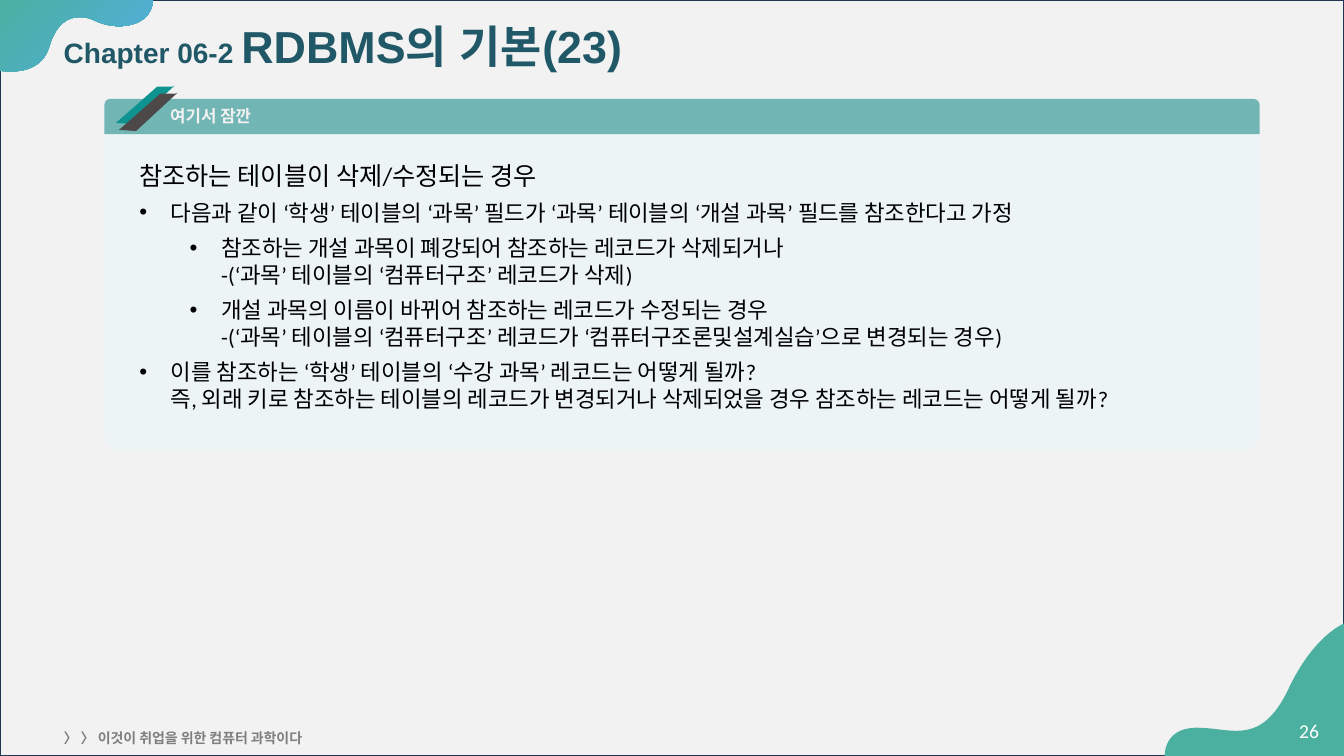
from lxml import etree
from pptx import Presentation
from pptx.dml.color import RGBColor
from pptx.enum.lang import MSO_LANGUAGE_ID
from pptx.enum.shapes import MSO_SHAPE
from pptx.enum.text import MSO_ANCHOR
from pptx.oxml.ns import qn
from pptx.util import Pt

RECTANGLE = MSO_SHAPE.RECTANGLE
TOP_ROUNDED = MSO_SHAPE.ROUND_2_SAME_RECTANGLE
TOP, MIDDLE = MSO_ANCHOR.TOP, MSO_ANCHOR.MIDDLE
KOREAN = MSO_LANGUAGE_ID.KOREAN

COLORS = {
    "paper": "F2F2F2", "frame": "21364F", "green": "4BB0A0", "blue": "52AEE1",
    "title": "205867", "footer": "7F7F7F", "white": "FFFFFF", "text": "000000",
    "panel": "ECF4F5", "header": "71B5B5", "teal": "0F9391", "charcoal": "4C4948",
}

# A pair is a straight segment, six numbers are a cubic curve.
TOP_WAVE = [
    (109.4, -1.4), (-0.7, -1.4), (-0.7, 50.4),
    (-0.7, 50.4, 2.9, 51.1, 7.9, 51.1), (17.3, 51.1, 31, 48.2, 35.3, 33.1),
    (40.3, 16.6, 49, 12.2, 56.9, 12.2), (60.5, 12.2, 64.1, 13, 67, 14.4),
    (72.7, 17.3, 79.2, 18.7, 85, 18.7), (98.6, 18.7, 109.4, 12.2, 109.4, -1.4),
]
BOTTOM_WAVE = [
    (960.8, 445), (960.8, 445, 938.5, 452.9, 919.8, 493.2),
    (908.3, 517, 896, 522, 883, 522), (874.3, 522, 865, 519.8, 854.9, 519.8),
    (830.5, 519.8, 831.9, 540.5, 831.9, 540.5), (960.8, 540.5), (960.8, 445),
]
RIBBON = [(124.6, 61.2), (95, 88.6), (82.8, 87.8), (112.3, 61.9), (123.1, 61.9)]

LESSON = [
    (None, ["참조하는 테이블이 삭제/수정되는 경우"]),
    (0, ["다음과 같이 ‘학생’ 테이블의 ‘과목’ 필드가 ‘과목’ 테이블의 ‘개설 과목’ 필드를 참조한다고 가정"]),
    (1, ["참조하는 개설 과목이 폐강되어 참조하는 레코드가 삭제되거나",
         "-(‘과목’ 테이블의 ‘컴퓨터구조’ 레코드가 삭제)"]),
    (1, ["개설 과목의 이름이 바뀌어 참조하는 레코드가 수정되는 경우",
         "-(‘과목’ 테이블의 ‘컴퓨터구조’ 레코드가 ‘컴퓨터구조론및설계실습’으로 변경되는 경우)"]),
    (0, ["이를 참조하는 ‘학생’ 테이블의 ‘수강 과목’ 레코드는 어떻게 될까?",
         "즉, 외래 키로 참조하는 테이블의 레코드가 변경되거나 삭제되었을 경우 참조하는 레코드는 어떻게 될까?"]),
]


def rgb(name):
    return RGBColor.from_string(COLORS[name])


class SlideBuilder:
    body_font = "Calibri"
    title_font = "Arial"

    def __init__(self, page):
        self.page = page

    def paint(self, shape, fill, line=None):
        shape.shadow.inherit = False
        shape.fill.solid()
        shape.fill.fore_color.rgb = rgb(fill)
        if line:
            shape.line.color.rgb = rgb(line)
            shape.line.width = Pt(1)
        else:
            shape.line.fill.background()

    def block(self, kind, frame, fill, line=None, corners=()):
        shape = self.page.shapes.add_shape(kind, *map(Pt, frame))
        for index, corner in enumerate(corners):
            shape.adjustments[index] = corner
        self.paint(shape, fill, line)

    def outline(self, segments, fill, dx=0, dy=0):
        ends = [(Pt(segment[-2] + dx), Pt(segment[-1] + dy)) for segment in segments]
        builder = self.page.shapes.build_freeform(*ends[0])
        builder.add_line_segments(ends[1:], close=False)
        shape = builder.convert_to_shape()
        self.bend(shape, segments[1:], dx, dy)
        self.paint(shape, fill)
        return shape

    def bend(self, shape, segments, dx, dy):
        """Turn the straight segments that carry control points into cubic curves."""
        lines = list(shape._element.iter(qn("a:lnTo")))
        for line, segment in zip(lines, segments):
            if len(segment) == 2:
                continue
            line.tag = qn("a:cubicBezTo")
            for index in (0, 1):
                x, y = segment[2 * index:2 * index + 2]
                control = etree.Element(qn("a:pt"), x=str(Pt(x + dx) - shape.left),
                                        y=str(Pt(y + dy) - shape.top))
                line.insert(index, control)

    def gradient(self, shape, names, angle):
        shape.fill.gradient()
        shape.fill.gradient_angle = angle
        for stop, name in zip(shape.fill.gradient_stops, names):
            stop.color.rgb = rgb(name)

    def text_box(self, frame, anchor=TOP):
        text = self.page.shapes.add_textbox(*map(Pt, frame)).text_frame
        text.word_wrap = True
        text.vertical_anchor = anchor
        return text

    def span(self, para, words, size, color, bold=False, font=None):
        span = para.add_run()
        span.text = words
        span.font.size = Pt(size)
        span.font.name = font or self.body_font
        span.font.bold = bold
        span.font.language_id = KOREAN
        span.font.color.rgb = rgb(color)
        latin = span._r.find(qn("a:rPr")).find(qn("a:latin"))
        latin.addnext(etree.Element(qn("a:ea"), typeface=span.font.name))

    def label(self, frame, words, size, color, bold=False):
        para = self.text_box(frame).paragraphs[0]
        self.span(para, words, size, color, bold)

    def bullet(self, para, level):
        para.level = level
        properties = para._p.get_or_add_pPr()
        properties.set("marL", str(Pt(22.5 + 36 * level)))
        properties.set("indent", str(Pt(-22.5)))
        color = etree.SubElement(properties, qn("a:buClr"))
        etree.SubElement(color, qn("a:srgbClr"), val=COLORS["text"])
        etree.SubElement(properties, qn("a:buFont"), typeface="Arial")
        etree.SubElement(properties, qn("a:buChar"), char="•")
        para.space_before = Pt(6)

    def lesson(self, frame, items):
        text = self.text_box(frame)
        for index, (level, lines) in enumerate(items):
            para = text.add_paragraph() if index else text.paragraphs[0]
            if level is not None:
                self.bullet(para, level)
            for number, line in enumerate(lines):
                if number:
                    para.add_line_break()
                self.span(para, line, 18 if level is None else 16, "text")

    def title(self, frame, chapter, heading):
        para = self.text_box(frame, MIDDLE).paragraphs[0]
        para.line_spacing = 0.9
        for words, size in ((chapter, 20), (heading, 32)):
            self.span(para, words, size, "title", True, self.title_font)


def main():
    deck = Presentation()
    deck.slide_width, deck.slide_height = Pt(960), Pt(540)
    slide = SlideBuilder(deck.slides.add_slide(deck.slide_layouts[6]))

    slide.block(RECTANGLE, (0, 0, 960, 540), "paper", line="frame")
    wave = slide.outline(TOP_WAVE, "green")
    slide.gradient(wave, ("green", "blue"), 315)
    slide.outline(BOTTOM_WAVE, "green")

    slide.title((38.4, 8.6, 888.5, 52.6), "Chapter 06-2 ", "RDBMS의 기본(23)")
    slide.label((920.9, 509.8, 31.7, 28.8), "26", 14, "white")
    slide.label((38.4, 517.7, 324, 17.3), "〉 〉 이것이 취업을 위한 컴퓨터 과학이다", 10, "footer", True)

    slide.block(TOP_ROUNDED, (74.6, 95.8, 825.1, 226), "panel", corners=(0, 0.054))
    slide.block(TOP_ROUNDED, (74.6, 70.6, 825.1, 25.2), "header", corners=(0.167, 0))
    slide.label((114.5, 72, 79.2, 21.6), "여기서 잠깐", 12, "paper", True)
    slide.outline(RIBBON, "teal")
    slide.outline(RIBBON, "charcoal", dx=2.2, dy=5)
    slide.lesson((92.4, 110.9, 807.1, 189.4), LESSON)

    deck.save("out.pptx")


if __name__ == "__main__":
    main()
